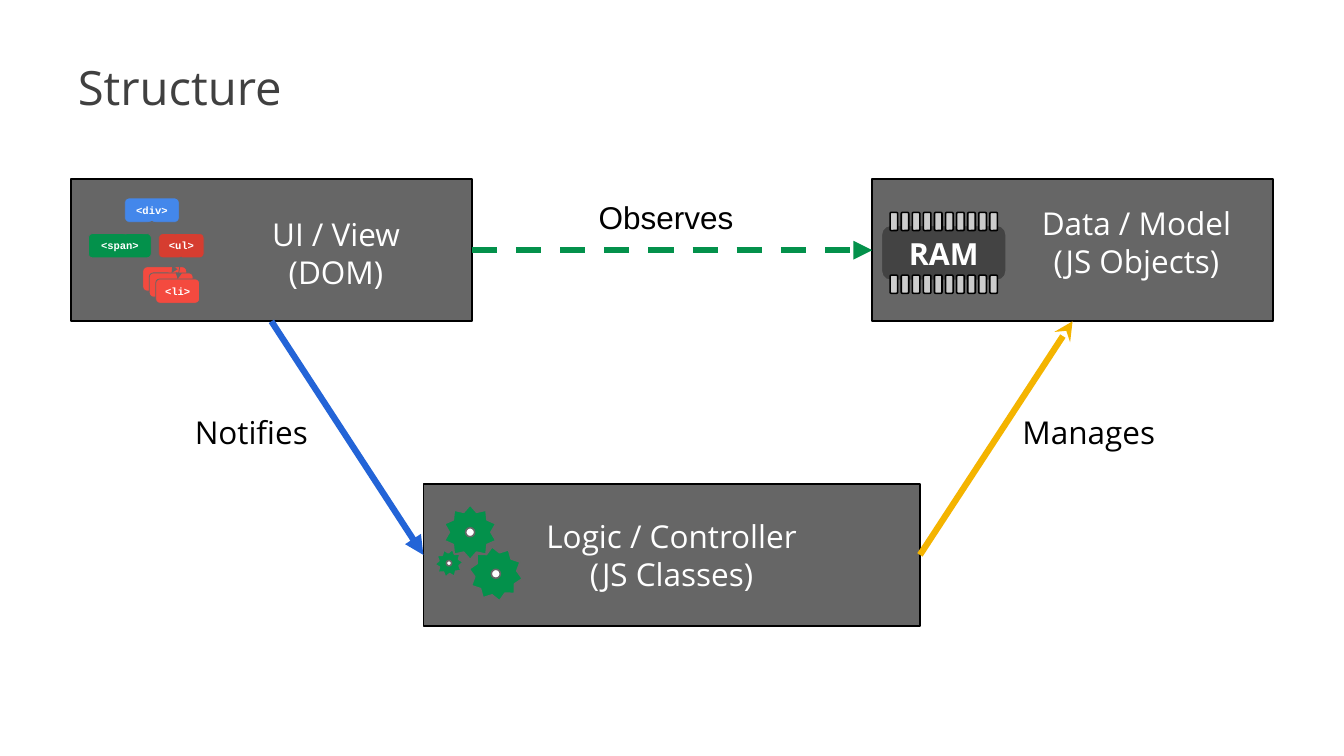
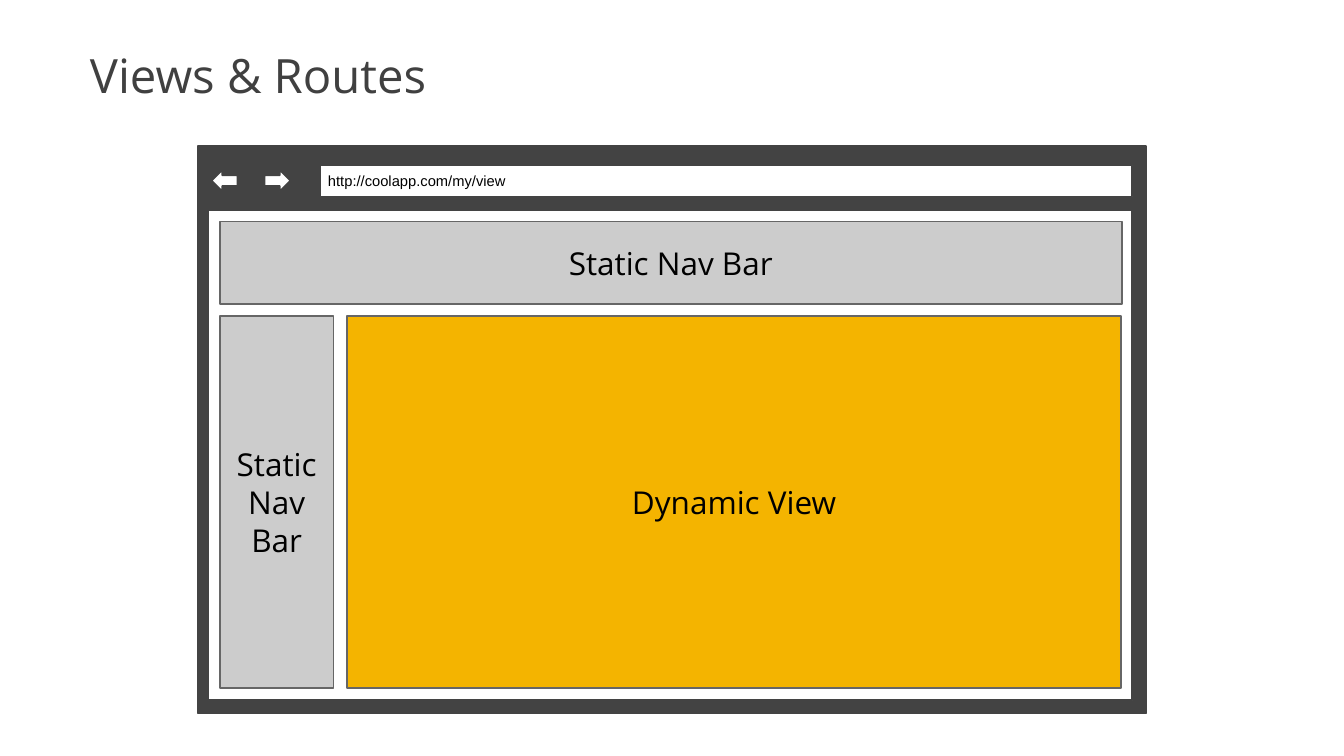
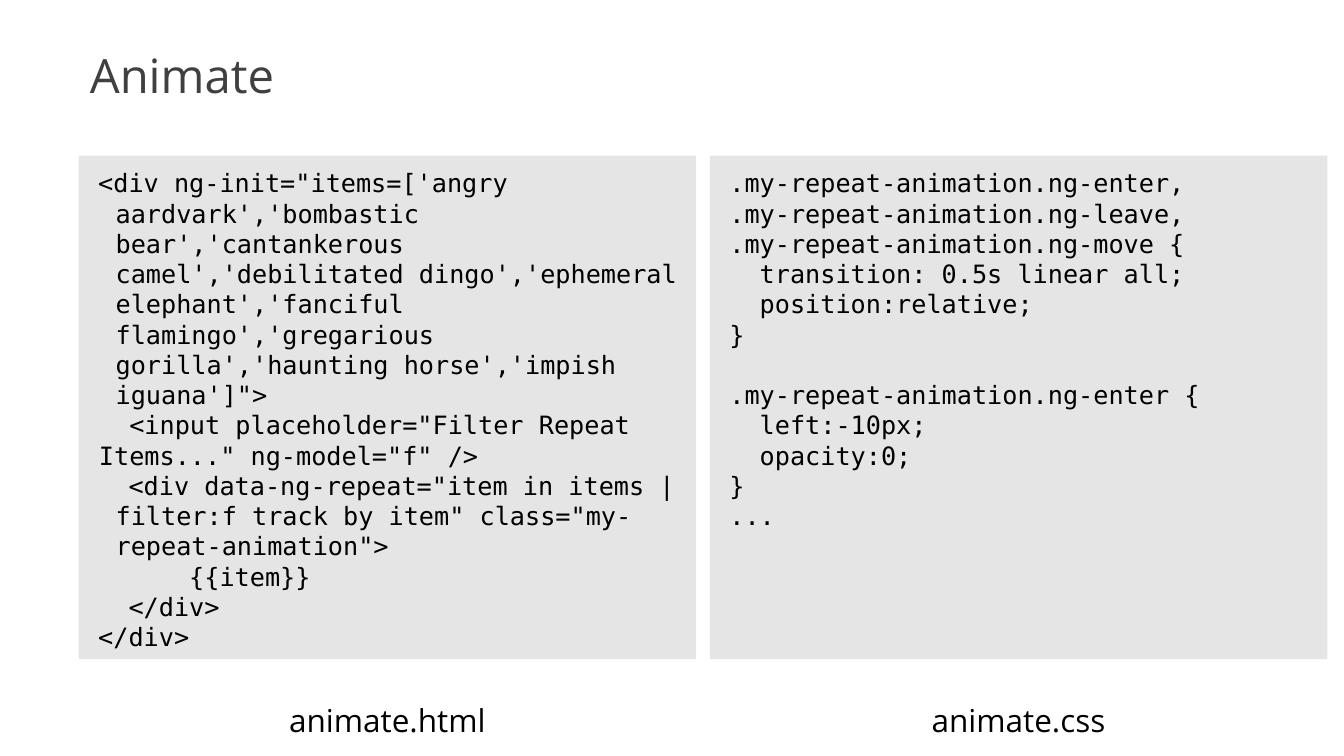
from lxml import etree
from pptx import Presentation
from pptx.dml.color import RGBColor
from pptx.enum.dml import MSO_LINE
from pptx.enum.shapes import MSO_CONNECTOR, MSO_SHAPE
from pptx.enum.text import MSO_ANCHOR, PP_ALIGN
from pptx.oxml.ns import qn
from pptx.util import Inches, Pt

RECTANGLE, ROUNDED = MSO_SHAPE.RECTANGLE, MSO_SHAPE.ROUNDED_RECTANGLE
STAR, OVAL = MSO_SHAPE.STAR_10_POINT, MSO_SHAPE.OVAL
LEFT_ARROW, RIGHT_ARROW = MSO_SHAPE.LEFT_ARROW, MSO_SHAPE.RIGHT_ARROW
STRAIGHT, DASH = MSO_CONNECTOR.STRAIGHT, MSO_LINE.DASH
TOP, MIDDLE, BOTTOM = MSO_ANCHOR.TOP, MSO_ANCHOR.MIDDLE, MSO_ANCHOR.BOTTOM
LEFT, CENTER = PP_ALIGN.LEFT, PP_ALIGN.CENTER

COLORS = {
    "black": "000000", "white": "FFFFFF", "title": "404040", "dark": "434343",
    "gray": "666666", "light": "CCCCCC", "green": "03914B", "blue": "2364D7",
    "sky": "4387EB", "yellow": "F4B400", "red": "D63D30", "coral": "F44A3F",
}
COLORS = {name: RGBColor.from_string(value) for name, value in COLORS.items()}

presentation = Presentation()
presentation.slide_width, presentation.slide_height = Inches(17.78), Inches(10)
# The grid has 100 columns and 100 rows
COLUMN = presentation.slide_width / 100
ROW = presentation.slide_height / 100


def draw(slide, kind, box, fill=None, line=None, width=1.5):
    """Add a shape, or a text box when kind is None; box is in columns and rows."""
    left, top, wide, high = box
    place = int(left * COLUMN), int(top * ROW), int(wide * COLUMN), int(high * ROW)
    if kind is None:
        return slide.shapes.add_textbox(*place)
    shape = slide.shapes.add_shape(kind, *place)
    shape.shadow.inherit = False
    shape.fill.solid()
    shape.fill.fore_color.rgb = COLORS[fill]
    if line:
        shape.line.color.rgb = COLORS[line]
        shape.line.width = Pt(width)
    else:
        shape.line.fill.background()
    return shape


def write(shape, text, size=30, font="Open Sans", color="black", bold=False,
          align=CENTER, anchor=MIDDLE, inset=7.2, spacing=None):
    """Write one paragraph per line; an empty line becomes space before the next."""
    frame = shape.text_frame
    frame.word_wrap = True
    frame.vertical_anchor = anchor
    frame.margin_left = frame.margin_right = Pt(inset)
    frame.margin_top = frame.margin_bottom = Pt(inset)
    paragraph, gap = None, False
    for line in text.split("\n"):
        if not line:
            gap = True
            continue
        paragraph = frame.add_paragraph() if paragraph else frame.paragraphs[0]
        paragraph.alignment = align
        if spacing:
            paragraph.line_spacing = spacing
        if gap:
            paragraph.space_before = Pt(1.2 * size)
            gap = False
        run = paragraph.add_run()
        run.text = line
        run.font.size, run.font.name, run.font.bold = Pt(size), font, bold
        run.font.color.rgb = COLORS[color]
    return frame


# Slides and titles
slides = []
for title, inset in (("Structure", 0), ("Views & Routes", 11.5), ("Animate", 11.5)):
    slide = presentation.slides.add_slide(presentation.slide_layouts[6])
    write(draw(slide, None, (5.79, 1.8, 88.25, 13.5)), title, size=45, color="title",
          align=LEFT, anchor=BOTTOM, inset=inset, spacing=0.9)
    slides.append(slide)
structure, views, animate = slides

# Structure: the three parts
view_left, data_left, part_width = 5.29, 64.9, 29.81
logic_left, logic_width = 31.5, 36.95
part_top, logic_top, part_height = 23.7, 64, 18.8
for left in (view_left, data_left):
    draw(structure, RECTANGLE, (left, part_top, part_width, part_height), "gray", "black")
logic = draw(structure, RECTANGLE, (logic_left, logic_top, logic_width, part_height),
             "gray", "black")
write(logic, "Logic / Controller\n(JS Classes)", color="white")
write(draw(structure, None, (16.09, 25.4, 17.83, 16.1)), "UI / View\n(DOM)", color="white")
data_frame = write(draw(structure, None, (75.65, 25, 17.83, 16.1)),
                   "Data / Model\n(JS Objects)", color="white")
data_frame.margin_bottom = Pt(22)

# Structure: gears, each with a hole in its centre
for left, top, wide, high, rotation, depth, hole in (
    (34.98, 72.3, 3.82, 7.2, 352.2, 0.393, 0.67),
    (33.07, 66.8, 3.82, 7.2, 0, 0.385, 0.67),
    (32.4, 72.6, 2.02, 3.8, 14, 0.363, 0.39),
):
    gear = draw(structure, STAR, (left, top, wide, high), "green", "gray")
    gear.adjustments[0] = depth
    gear.rotation = rotation
    hole_high = hole * COLUMN / ROW
    draw(structure, OVAL, (left + (wide - hole) / 2, top + (high - hole_high) / 2,
                           hole, hole_high), "white", "gray")

# Structure: memory chip with two rows of pins
chip = draw(structure, ROUNDED, (65.58, 29.8, 9.28, 7.3), "dark", "gray")
write(chip, "RAM", size=29, color="white", bold=True)
for top in (28.1, 36.4):
    for pin in range(10):
        draw(structure, ROUNDED, (66.23 + pin * 0.825, top, 0.56, 2.4), "light", "black")

# Structure: tree of tags
for text, left, top, wide, color in (
    ("<div>", 9.28, 26.2, 4.05, "sky"),
    ("<span>", 6.58, 30.9, 4.67, "green"),
    ("<ul>", 11.81, 30.9, 3.37, "red"),
    ("", 10.63, 35.3, 3.26, "coral"),
    ("", 11.11, 36.1, 3.26, "coral"),
    ("<li>", 11.59, 36.9, 3.26, "coral"),
):
    tag = draw(structure, ROUNDED, (left, top, wide, 3.2), color, "gray", 0.75)
    if text:
        write(tag, text, size=10, font="Courier New", color="white", bold=True)

# Structure: arrows between the parts and between the tags
part_bottom = part_top + part_height
logic_middle = logic_top + part_height / 2
div_end, list_end = (11.3, 29.3), (13.5, 34)
for start, end, color, width, head in (
    ((logic_left + logic_width, logic_middle), (data_left + part_width / 2, part_bottom),
     "yellow", 6, "stealth"),
    ((view_left + part_width / 2, part_bottom), (logic_left, logic_middle),
     "blue", 6, "triangle"),
    ((view_left + part_width, 33.1), (data_left, 33.1), "green", 6, "triangle"),
    (div_end, (8.89, 30.9), "gray", 0.75, "triangle"),
    (div_end, (13.5, 30.9), "gray", 0.75, "triangle"),
    (list_end, (12.26, 35.3), "gray", 0.75, "triangle"),
    (list_end, (12.77, 36.1), "gray", 0.75, "triangle"),
    (list_end, (13.22, 36.9), "gray", 0.75, "triangle"),
):
    arrow = structure.shapes.add_connector(
        STRAIGHT, int(start[0] * COLUMN), int(start[1] * ROW),
        int(end[0] * COLUMN), int(end[1] * ROW))
    arrow.line.color.rgb = COLORS[color]
    arrow.line.width = Pt(width)
    if color == "green":
        arrow.line.dash_style = DASH
    etree.SubElement(arrow.line._get_or_add_ln(), qn("a:tailEnd"), type=head)
    etree.SubElement(arrow._element.spPr, qn("a:effectLst"))

for text, box, font in (
    ("Manages", (73.62, 53.8, 14.79, 6.7), "Open Sans"),
    ("Notifies", (13.05, 53.8, 11.3, 6.7), "Open Sans"),
    ("Observes", (38.3, 26.2, 22.5, 5), "Arial"),
):
    write(draw(structure, None, box), text, font=font)

# Views & Routes: browser window
draw(views, RECTANGLE, (14.74, 19.3, 70.53, 75.1), "dark", "dark")
draw(views, RECTANGLE, (15.52, 27.8, 68.73, 64.8), "white", "dark")
address = draw(views, RECTANGLE, (23.85, 21.9, 60.4, 4.1), "white", "dark")
write(address, "http://coolapp.com/my/view", size=14, font="Arial", align=LEFT)
for kind, left in ((RIGHT_ARROW, 19.69), (LEFT_ARROW, 15.75)):
    draw(views, kind, (left, 22.5, 1.91, 2.8), "white", "dark")

# Views & Routes: page areas
for text, box, color in (
    ("Static Nav Bar", (16.37, 29.3, 67.1, 10.9), "light"),
    ("Static Nav Bar", (16.37, 41.8, 8.44, 49.2), "light"),
    ("Dynamic View", (25.82, 41.8, 57.6, 49.2), "yellow"),
):
    write(draw(views, RECTANGLE, box, color, "gray"), text)

# Animate: two code panels, each with its file name below
HTML = """<div ng-init="items=['angry aardvark','bombastic bear','cantankerous camel',\
'debilitated dingo','ephemeral elephant','fanciful flamingo','gregarious gorilla',\
'haunting horse','impish iguana']">
  <input placeholder="Filter Repeat Items..." ng-model="f" />
  <div data-ng-repeat="item in items | filter:f track by item" class="my-repeat-animation">
      {{item}}
  </div>
</div>"""
CSS = """.my-repeat-animation.ng-enter,
.my-repeat-animation.ng-leave,
.my-repeat-animation.ng-move {
  transition: 0.5s linear all;
  position:relative;
}

.my-repeat-animation.ng-enter {
  left:-10px;
  opacity:0;
}
..."""
panel_width, label_width = 45.95, 22.5
for left, name, code in ((5.85, "animate.html", HTML), (52.81, "animate.css", CSS)):
    panel = draw(animate, RECTANGLE, (left, 20.6, panel_width, 66.6), "black")
    fill_color = panel._element.spPr.find(qn("a:solidFill"))[0]
    etree.SubElement(fill_color, qn("a:alpha"), val="10000")
    frame = write(panel, code, size=24, font="DejaVu Sans Mono", align=LEFT,
                  anchor=TOP, inset=11.5)
    for paragraph in frame.paragraphs:
        hanging = "<input" not in paragraph.text
        properties = paragraph._p.get_or_add_pPr()
        properties.set("marL", str(Inches(0.33 if hanging else 0.11)))
        properties.set("indent", str(Inches(-0.23 if hanging else 0)))
    label_left = left + (panel_width - label_width) / 2
    write(draw(animate, None, (label_left, 91.6, label_width, 7.2)), name)

presentation.save("out.pptx")
